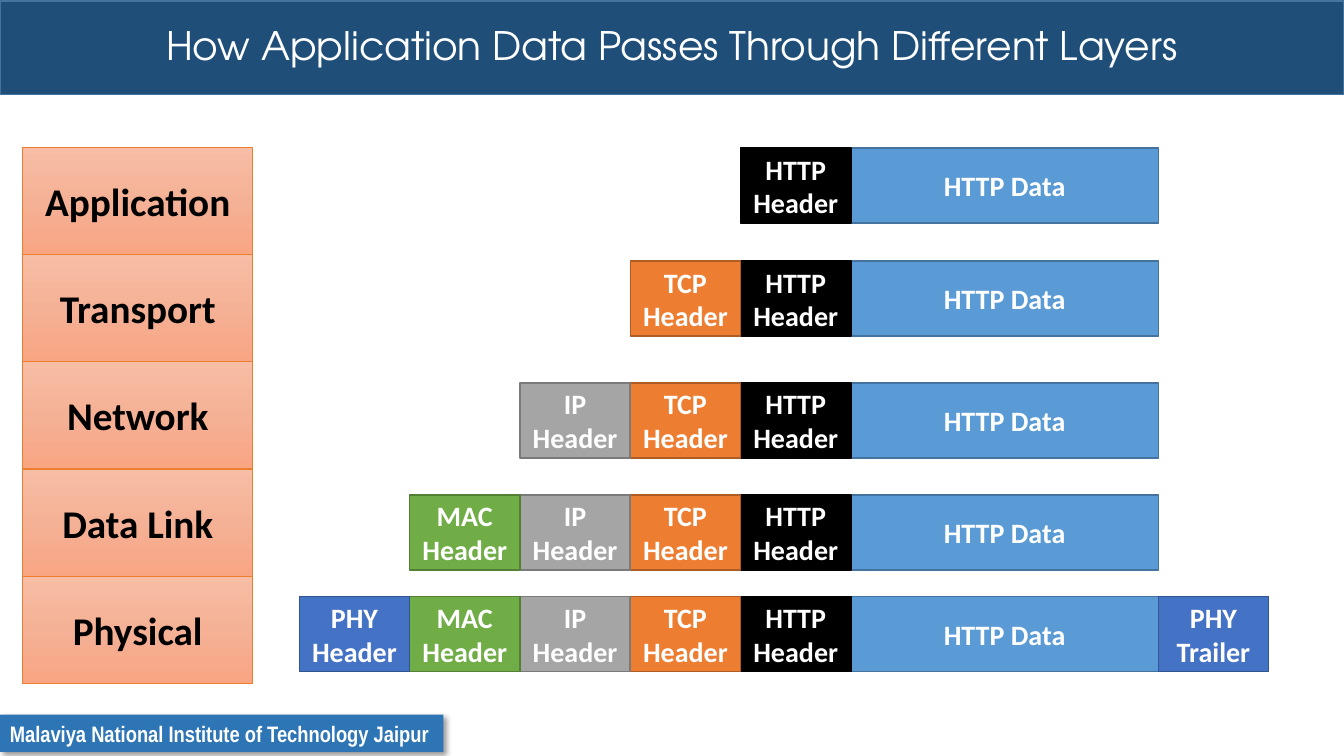
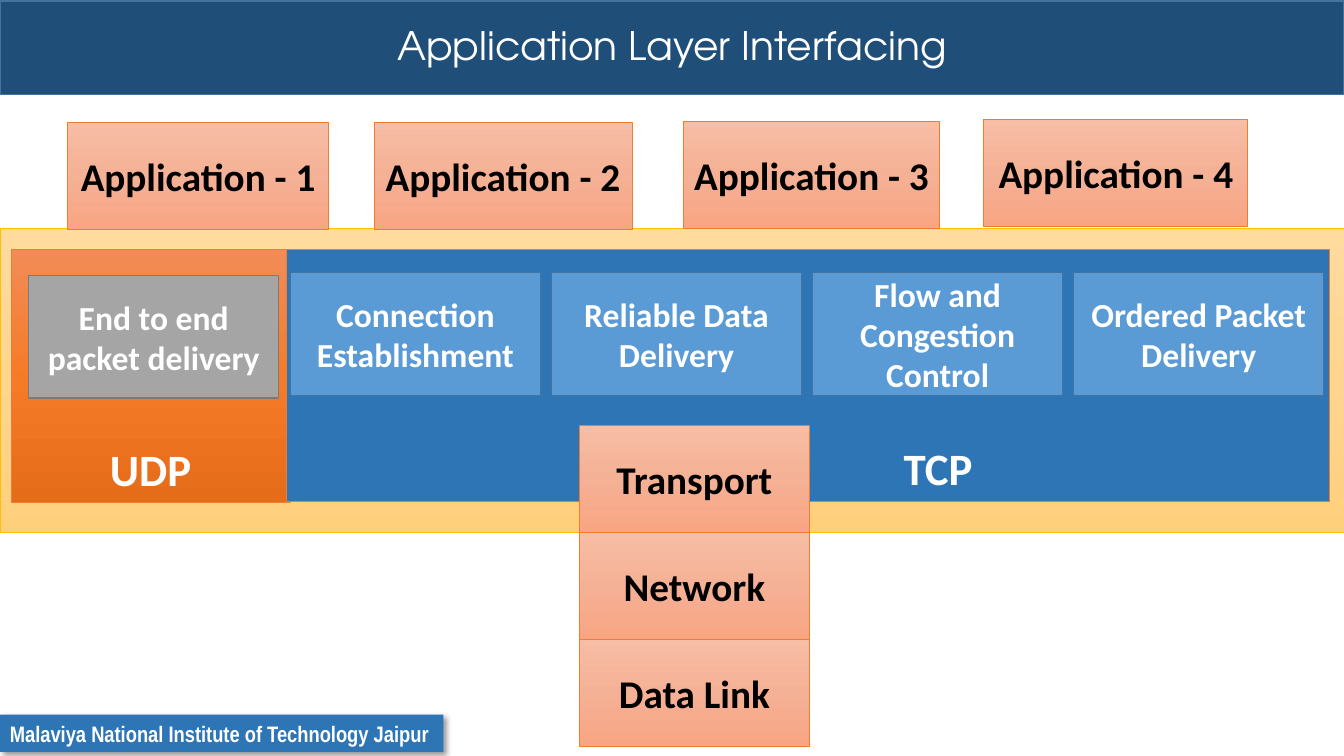
"""Build two slides on how application data travels through the network layers."""
import dataclasses
import typing

import lxml.etree
import pptx
import pptx.dml.color
import pptx.enum.shapes
import pptx.enum.text
import pptx.oxml.ns
import pptx.presentation
import pptx.shapes.autoshape
import pptx.slide
import pptx.text.text
import pptx.util

Pt = pptx.util.Pt
Anchor = pptx.enum.text.MSO_ANCHOR
Align = pptx.enum.text.PP_ALIGN


class Paint(typing.NamedTuple):
    """Fill stops, from top to bottom, with the outline."""
    stops: tuple[str, ...]
    line: str | None
    weight: float = 1


class Type(typing.NamedTuple):
    """Look of a piece of text."""
    size: float
    color: str = "FFFFFF"
    font: str = "Calibri"
    bold: bool = True


class Area(typing.NamedTuple):
    """Place and size in points."""
    left: float
    top: float
    width: float
    height: float


@dataclasses.dataclass(frozen=True)
class Theme:
    """All colours and type styles of the deck."""
    band: Paint = Paint(("1F4E79",), "43739E")
    footer: Paint = Paint(("2E75B6",), None)
    layer: Paint = Paint(("F7BDA5", "F5B196", "F8A582"), "ED7D31", 0.5)
    transport: Paint = Paint(("FFDB9E", "FFD590", "FFD07C"), "FFC000", 0.5)
    udp: Paint = Paint(("F18C57", "F67B28", "E56C19"), "ED7D31", 0.5)
    tcp: Paint = Paint(("2E75B6",), "ED7D31", 0.5)
    blue: Paint = Paint(("5B9BD5",), "43739E")
    black: Paint = Paint(("000000",), "000000")
    orange: Paint = Paint(("ED7D31",), "AF5C24")
    gray: Paint = Paint(("A5A5A5",), "7A7A7A")
    green: Paint = Paint(("70AD47",), "538035")
    indigo: Paint = Paint(("4472C4",), "325491")
    title_type: Type = Type(28, font="TeX Gyre Adventor", bold=False)
    footer_type: Type = Type(16, font="Arial Narrow")
    layer_type: Type = Type(28, "000000")
    packet_type: Type = Type(20)
    service_type: Type = Type(24)
    protocol_type: Type = Type(32)


class Header(typing.NamedTuple):
    """Header that one layer adds to the packet."""
    text: str
    paint: Paint


THEME = Theme()
SLIDE_WIDTH, SLIDE_HEIGHT = 960, 540
BAND = Area(0, 0.7, SLIDE_WIDTH, 67)
LAYER_WIDTH, LAYER_HEIGHT = 164.2, 76.4
HEADERS = (
    Header("HTTP Header", THEME.black),
    Header("TCP Header", THEME.orange),
    Header("IP Header", THEME.gray),
    Header("MAC Header", THEME.green),
    Header("PHY Header", THEME.indigo),
)
ROW_TOPS = (105.8, 186.5, 273.6, 353.5, 426.2)
DATA_LEFT, DATA_WIDTH = 607.8, 219.6
HEADER_WIDTH, PACKET_HEIGHT = 78.8, 53.6
SERVICES = (
    "Connection Establishment",
    "Reliable Data Delivery",
    "Flow and Congestion Control",
    "Ordered Packet Delivery",
)
SERVICE_WIDTH, SERVICE_HEIGHT, SERVICE_PITCH = 178.6, 87.8, 186.5
APPLICATIONS = (
    Area(48.2, 87.3, 186.5, LAYER_HEIGHT),
    Area(267.1, 87.1, 184.3, LAYER_HEIGHT),
    Area(488.2, 86.4, 182.9, LAYER_HEIGHT),
    Area(702.7, 85.4, 188.6, LAYER_HEIGHT),
)


def rgb(value: str) -> pptx.dml.color.RGBColor:
    """Turn a hex value into a colour."""
    return pptx.dml.color.RGBColor.from_string(value)


def add_child(parent: typing.Any, tag: str, **attributes: str) -> typing.Any:
    """Append a drawing element."""
    return lxml.etree.SubElement(parent, pptx.oxml.ns.qn(tag), attributes)


def write(para: pptx.text.text._Paragraph, text: str, style: Type) -> None:
    """Add one formatted run."""
    span = para.add_run()
    span.text = text
    span.font.size = Pt(style.size)
    span.font.name = style.font
    span.font.bold = style.bold
    span.font.color.rgb = rgb(style.color)


def paint_box(box: pptx.shapes.autoshape.Shape, paint: Paint) -> None:
    """Apply fill and outline."""
    box.shadow.inherit = False
    if len(paint.stops) == 1:
        box.fill.solid()
        box.fill.fore_color.rgb = rgb(paint.stops[0])
    else:
        box.fill.gradient()
        box.fill.gradient_angle = 270
        stop_list = next(box.element.spPr.iter(pptx.oxml.ns.qn("a:gsLst")))
        for stop in list(stop_list):
            stop_list.remove(stop)
        for index, color in enumerate(paint.stops):
            position = index * 100000 // (len(paint.stops) - 1)
            stop = add_child(stop_list, "a:gs", pos=str(position))
            add_child(stop, "a:srgbClr", val=color)
    if paint.line is None:
        box.line.fill.background()
    else:
        box.line.color.rgb = rgb(paint.line)
        box.line.width = Pt(paint.weight)


def add_box(page: pptx.slide.Slide, area: Area, paint: Paint, text: str = "",
            style: Type = THEME.layer_type, align: Align = Align.CENTER,
            anchor: Anchor = Anchor.MIDDLE) -> pptx.shapes.autoshape.Shape:
    """Draw a rectangle with optional text."""
    box = page.shapes.add_shape(pptx.enum.shapes.MSO_SHAPE.RECTANGLE, *map(Pt, area))
    paint_box(box, paint)
    if text:
        frame = box.text_frame
        frame.word_wrap = True
        frame.vertical_anchor = anchor
        frame.paragraphs[0].alignment = align
        write(frame.paragraphs[0], text, style)
    return box


def add_layers(page: pptx.slide.Slide, left: float, top: float, names: tuple[str, ...]) -> None:
    """Stack layer boxes downwards."""
    for index, name in enumerate(names):
        add_box(page, Area(left, top + index * LAYER_HEIGHT, LAYER_WIDTH, LAYER_HEIGHT),
                THEME.layer, name)


def furnish_layout(page: pptx.slide.Slide) -> None:
    """Give the page's layout the title band and the footer."""
    layout = page.slide_layout
    band = add_box(page, BAND, THEME.band)
    footer = add_box(page, Area(0, 510.5, 316.8, 26.6), THEME.footer,
                     "Malaviya National Institute of Technology Jaipur",
                     THEME.footer_type, Align.LEFT)
    footer.text_frame.word_wrap = False
    footer.text_frame.auto_size = pptx.enum.text.MSO_AUTO_SIZE.SHAPE_TO_FIT_TEXT
    effects = footer.element.spPr.find(pptx.oxml.ns.qn("a:effectLst"))
    shadow = add_child(effects, "a:outerShdw", blurRad=str(Pt(4)), dist=str(Pt(3)),
                       dir="2700000", algn="tl", rotWithShape="0")
    add_child(add_child(shadow, "a:srgbClr", val="000000"), "a:alpha", val="40000")
    for index, box in enumerate((band, footer)):
        box.element.nvSpPr.cNvPr.set("id", str(100 + index))
        layout.shapes.element.insert(2 + index, box.element)
    title = layout.placeholders[0]
    title.left, title.top, title.width, title.height = map(Pt, BAND)


def set_title(page: pptx.slide.Slide, text: str) -> None:
    """Fill the title placeholder."""
    frame = page.shapes.title.text_frame
    frame.vertical_anchor = Anchor.MIDDLE
    para = frame.paragraphs[0]
    para.alignment = Align.CENTER
    para.line_spacing = 0.9
    write(para, text, THEME.title_type)


def build_encapsulation(page: pptx.slide.Slide) -> None:
    """Show the packet growing layer by layer."""
    set_title(page, "How Application Data Passes Through Different Layers")
    add_layers(page, 16.3, 105.6, ("Application", "Transport", "Network"))
    add_layers(page, 16.3, 335.2, ("Data Link", "Physical"))
    for row, top in enumerate(ROW_TOPS):
        add_box(page, Area(DATA_LEFT, top, DATA_WIDTH, PACKET_HEIGHT),
                THEME.blue, "HTTP Data", THEME.packet_type)
        for index, header in enumerate(HEADERS[:row + 1]):
            left = DATA_LEFT - (index + 1) * HEADER_WIDTH
            add_box(page, Area(left, top, HEADER_WIDTH, PACKET_HEIGHT),
                    header.paint, header.text, THEME.packet_type)
    add_box(page, Area(DATA_LEFT + DATA_WIDTH, ROW_TOPS[-1], HEADER_WIDTH, PACKET_HEIGHT),
            THEME.indigo, "PHY Trailer", THEME.packet_type)


def build_interfacing(page: pptx.slide.Slide) -> None:
    """Show the applications above the transport services."""
    set_title(page, "Application Layer Interfacing")
    add_box(page, Area(0, 163.4, SLIDE_WIDTH, 216.7), THEME.transport)
    udp = add_box(page, Area(7.9, 178.2, 199.4, 180.7), THEME.udp, "UDP",
                  THEME.protocol_type, anchor=Anchor.BOTTOM)
    add_box(page, Area(20.5, 196.6, SERVICE_WIDTH, SERVICE_HEIGHT), THEME.gray,
            "End to end packet delivery", THEME.service_type)
    tcp = add_box(page, Area(204.5, 178, 745.2, 180.4), THEME.tcp, "TCP",
                  THEME.protocol_type, anchor=Anchor.BOTTOM)
    tcp.text_frame.margin_left = Pt(193)
    for protocol in (udp, tcp):
        protocol.text_frame.margin_bottom = Pt(5)
    for index, service in enumerate(SERVICES):
        add_box(page, Area(207.4 + index * SERVICE_PITCH, 194.7, SERVICE_WIDTH, SERVICE_HEIGHT),
                THEME.blue, service, THEME.service_type)
    add_layers(page, 413.9, 303.8, ("Transport", "Network", "Data Link"))
    for number, area in enumerate(APPLICATIONS, 1):
        add_box(page, area, THEME.layer, f"Application - {number}")


def main() -> None:
    """Build and save the deck."""
    deck = pptx.Presentation()
    deck.slide_width, deck.slide_height = Pt(SLIDE_WIDTH), Pt(SLIDE_HEIGHT)
    layout = deck.slide_layouts.get_by_name("Title Only")
    pages = [deck.slides.add_slide(layout) for _ in range(2)]
    furnish_layout(pages[0])
    build_encapsulation(pages[0])
    build_interfacing(pages[1])
    deck.save("out.pptx")


if __name__ == "__main__":
    main()
